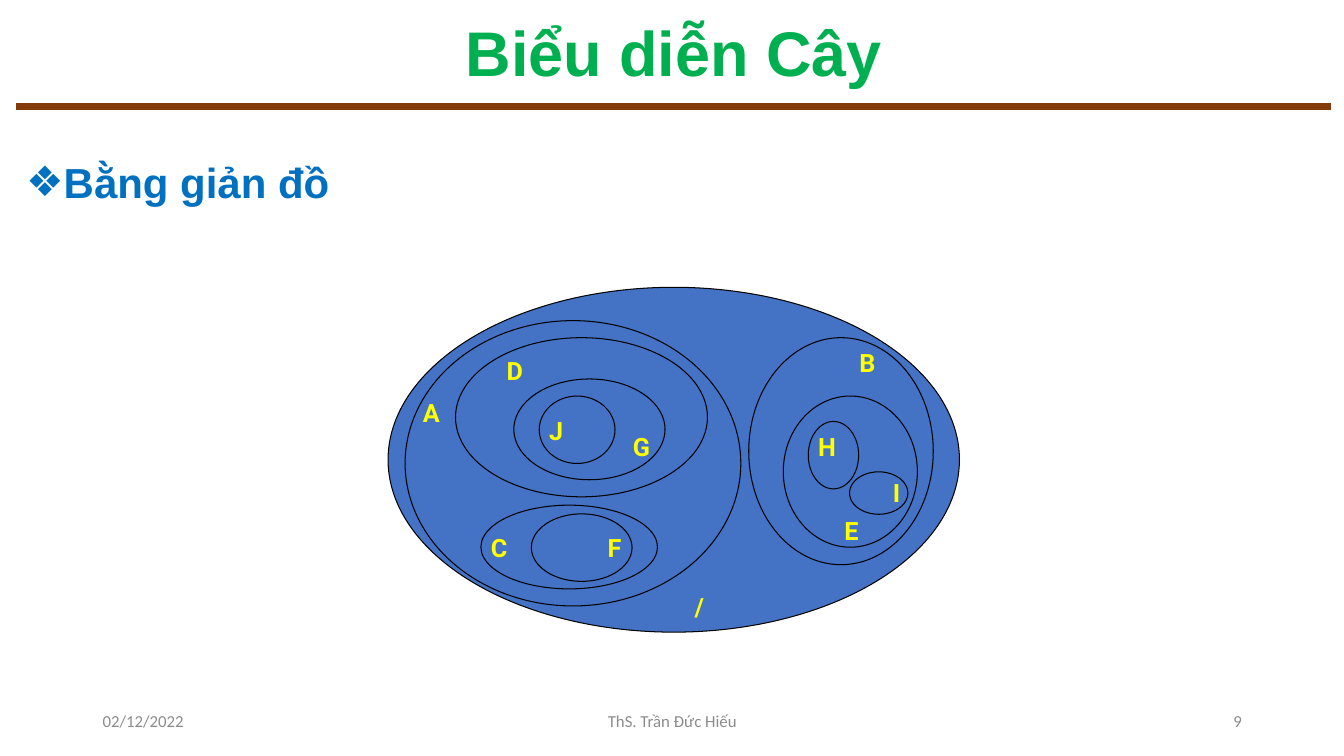
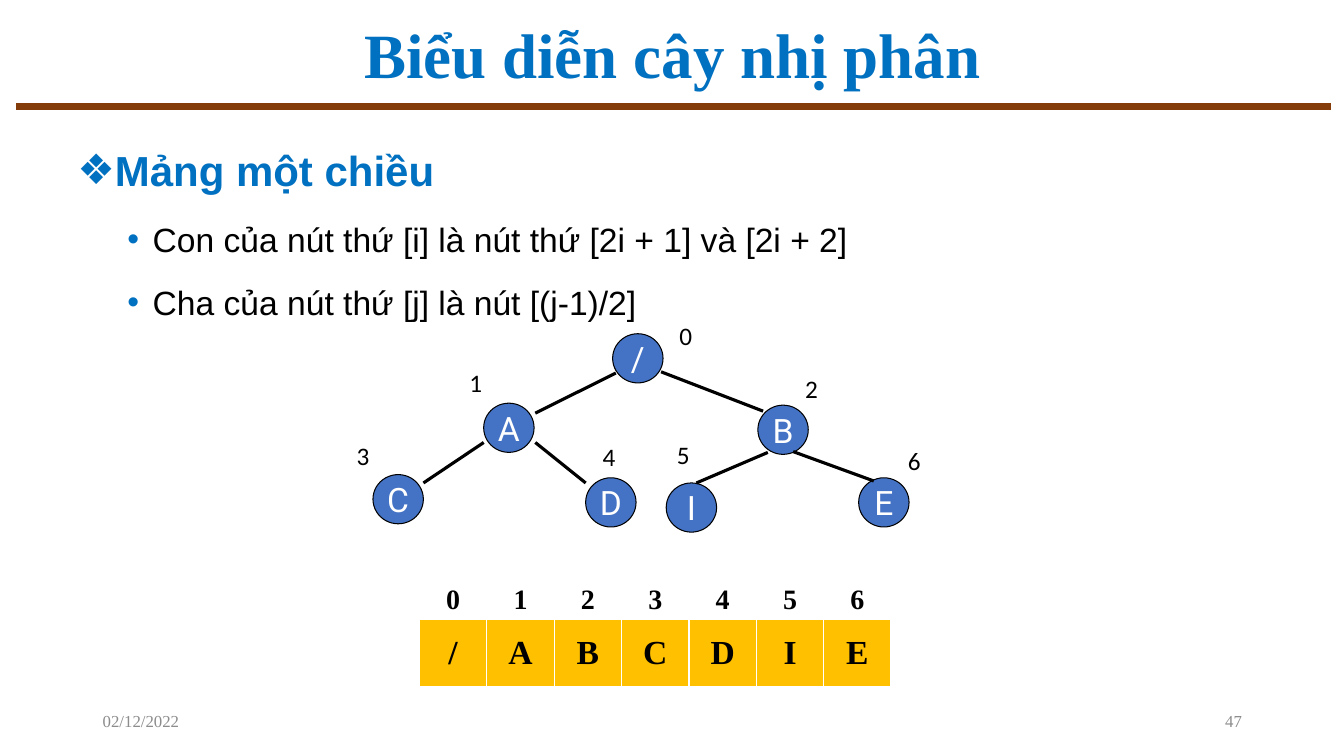
from lxml.etree import SubElement
from pptx import Presentation
from pptx.dml.color import RGBColor
from pptx.enum.shapes import MSO_CONNECTOR as Connector, MSO_SHAPE as Preset
from pptx.enum.text import MSO_ANCHOR as Anchor, PP_ALIGN as Align
from pptx.oxml.ns import qn
from pptx.util import Cm, Pt

COLORS = {
    "rule": "843C0B", "green": "00B050", "blue": "0070C0", "gray": "8C8C8C",
    "node": "4472C4", "yellow": "FFFF00", "cell": "FFC000",
    "black": "000000", "white": "FFFFFF",
}
RGB = {name: RGBColor.from_string(value) for name, value in COLORS.items()}


def write(target, text, box=None, size=18, font="Arial", color="black", bold=False,
          align=Align.LEFT, anchor=Anchor.TOP, wrap=True, spacing=1.0, before=0,
          bullet=None, level=0, margin=0.64):
    """Add a paragraph to the target, or to a new text box on it if box is given."""
    if box:
        target = target.shapes.add_textbox(*map(Cm, box))
    frame = target.text_frame
    frame.word_wrap = wrap
    frame.vertical_anchor = anchor
    paragraph = frame.add_paragraph() if frame.text else frame.paragraphs[0]
    if bullet:
        props = paragraph._p.get_or_add_pPr()
        props.set("marL", str(Cm(margin)))
        props.set("indent", str(-Cm(0.64)))
        bullet_color = SubElement(props, qn("a:buClr"))
        SubElement(bullet_color, qn("a:srgbClr"), val=COLORS["blue"])
        SubElement(props, qn("a:buFont"), typeface="Arial")
        SubElement(props, qn("a:buChar"), char=bullet)
    paragraph.level = level
    paragraph.alignment = align
    paragraph.line_spacing = spacing
    paragraph.space_before = Pt(before)
    run = paragraph.add_run()
    run.text = text
    run.font.size, run.font.name, run.font.bold = Pt(size), font, bold
    run.font.color.rgb = RGB[color]
    return target


def draw_line(slide, ends, color, width):
    line = slide.shapes.add_connector(Connector.STRAIGHT, *map(Cm, ends))
    line.line.color.rgb = RGB[color]
    line.line.width = Pt(width)
    SubElement(line._element.spPr, qn("a:effectLst"))


deck = Presentation()
deck.slide_width, deck.slide_height = Cm(33.87), Cm(19.05)
diagram, array = [deck.slides.add_slide(deck.slide_layouts[6]) for _ in range(2)]

# Shared rule, title and footer
pages = [
    (diagram, "Biểu diễn Cây", (0.41, 0.38, 33.15, 2.06), "Arial", "green",
     "Calibri", "ThS. Trần Đức Hiếu", "9"),
    (array, "Biểu diễn cây nhị phân", (2.34, 0.43, 29.21, 2.06), "Times New Roman",
     "blue", "Times New Roman", "", "47"),
]
for slide, title, title_box, title_font, title_color, footer_font, author, number in pages:
    draw_line(slide, (0.41, 2.69, 33.55, 2.69), "rule", 5)
    write(slide, title, title_box, size=45, font=title_font, color=title_color,
          bold=True, align=Align.CENTER, anchor=Anchor.MIDDLE, spacing=0.9)
    for text, left, width, align in [("02/12/2022", 2.34, 7.62, Align.LEFT),
                                     (author, 11.23, 11.43, Align.CENTER),
                                     (number, 23.93, 7.62, Align.RIGHT)]:
        if text:
            write(slide, text, (left, 17.65, width, 1.02), size=12, font=footer_font,
                  color="gray", align=align, anchor=Anchor.MIDDLE)

# Body text
heading = dict(size=30, color="blue", bold=True, bullet="❖")
write(diagram, "Bằng giản đồ", (0.41, 3.45, 33.15, 15.37), spacing=1.3, **heading)
rules = write(array, "Mảng một chiều", (1.7, 3.02, 29.85, 15.01), spacing=1.4,
              align=Align.JUSTIFY, **heading)
for text in ("Con của nút thứ [i] là nút thứ [2i + 1] và [2i + 2]",
             "Cha của nút thứ [j] là nút [(j-1)/2]"):
    write(rules, text, size=24, align=Align.JUSTIFY, spacing=1.4, before=5,
          bullet="•", level=1, margin=1.9)

# Nested sets: ellipse box, then label position
sets = {
    "/": (9.78, 7.24, 14.4, 8.69, 17.2, 14.86),
    "A": (10.21, 8.08, 8.46, 7.19, 10.41, 9.98),
    "B": (18.87, 8.51, 4.65, 5.72, 21.41, 8.71),
    "D": (11.48, 8.51, 6.35, 4.01, 12.52, 8.92),
    "C": (12.12, 12.73, 4.45, 2.11, 12.12, 13.36),
    "F": (13.39, 12.95, 2.54, 1.7, 15.06, 13.36),
    "G": (12.95, 9.55, 3.81, 2.54, 15.7, 10.82),
    "J": (13.59, 9.98, 1.91, 1.7, 13.59, 10.41),
    "E": (19.74, 9.98, 3.38, 3.81, 21.03, 12.95),
    "H": (20.37, 10.62, 1.27, 1.7, 20.37, 10.82),
    "I": (21.41, 11.89, 1.47, 1.07, 22.17, 11.99),
}
# Tree nodes in array order: node position, then index position
nodes = {
    "/": (15.44, 8.41, 16.87, 7.95),
    "A": (12.19, 10.16, 11.58, 9.14),
    "B": (19.1, 10.21, 20.04, 9.27),
    "C": (9.4, 11.96, 8.74, 10.97),
    "D": (14.76, 12.04, 14.94, 11),
    "I": (16.79, 12.17, 16.81, 10.95),
    "E": (21.64, 12.04, 22.63, 11.1),
}

# Ellipses of both slides; only tree nodes carry their own text
centered = dict(font="Roboto", align=Align.CENTER, anchor=Anchor.MIDDLE, wrap=False)
ellipses = [(diagram, place[:4], "") for place in sets.values()]
ellipses += [(array, (*place[:2], 1.27, 1.24), name) for name, place in nodes.items()]
for slide, box, name in ellipses:
    ellipse = slide.shapes.add_shape(Preset.OVAL, *map(Cm, box))
    ellipse.shadow.inherit = False
    ellipse.fill.solid()
    ellipse.fill.fore_color.rgb = RGB["node"]
    ellipse.line.color.rgb = RGB["black"]
    ellipse.line.width = Pt(0.75)
    if name:
        write(ellipse, name, size=24, color="white", **centered)

# Set labels
for name, place in sets.items():
    write(diagram, name, (*place[4:], 0.85, 0.85), color="yellow", bold=True, **centered)

# Tree edges and indices
edges = [
    (15.52, 9.4, 13.49, 10.41), (16.66, 9.37, 19.23, 10.36),
    (12.19, 11.15, 10.67, 12.17), (13.49, 11.15, 14.76, 12.17),
    (19.35, 11.4, 17.55, 12.17), (19.99, 11.38, 22.02, 12.12),
]
for ends in edges:
    draw_line(array, ends, "black", 2.25)
for index, place in enumerate(nodes.values()):
    write(array, str(index), (*place[2:], 0.84, 1.02), font="Calibri", wrap=False)

# Array: a row of indices above a row of values
for values, top, size, fill in [(range(len(nodes)), 14.27, 20, None),
                                (nodes, 15.6, 24, "cell")]:
    row = array.shapes.add_table(1, len(nodes), Cm(10.57), Cm(top),
                                 Cm(11.89), Cm(1.7)).table
    row.first_row = row.horz_banding = False
    for cell, value in zip(row.iter_cells(), values):
        if fill:
            cell.fill.solid()
            cell.fill.fore_color.rgb = RGB[fill]
        else:
            cell.fill.background()
        cell.vertical_anchor = Anchor.MIDDLE
        write(cell, str(value), size=size, font="Times New Roman", bold=True,
              align=Align.CENTER)

deck.save("out.pptx")
